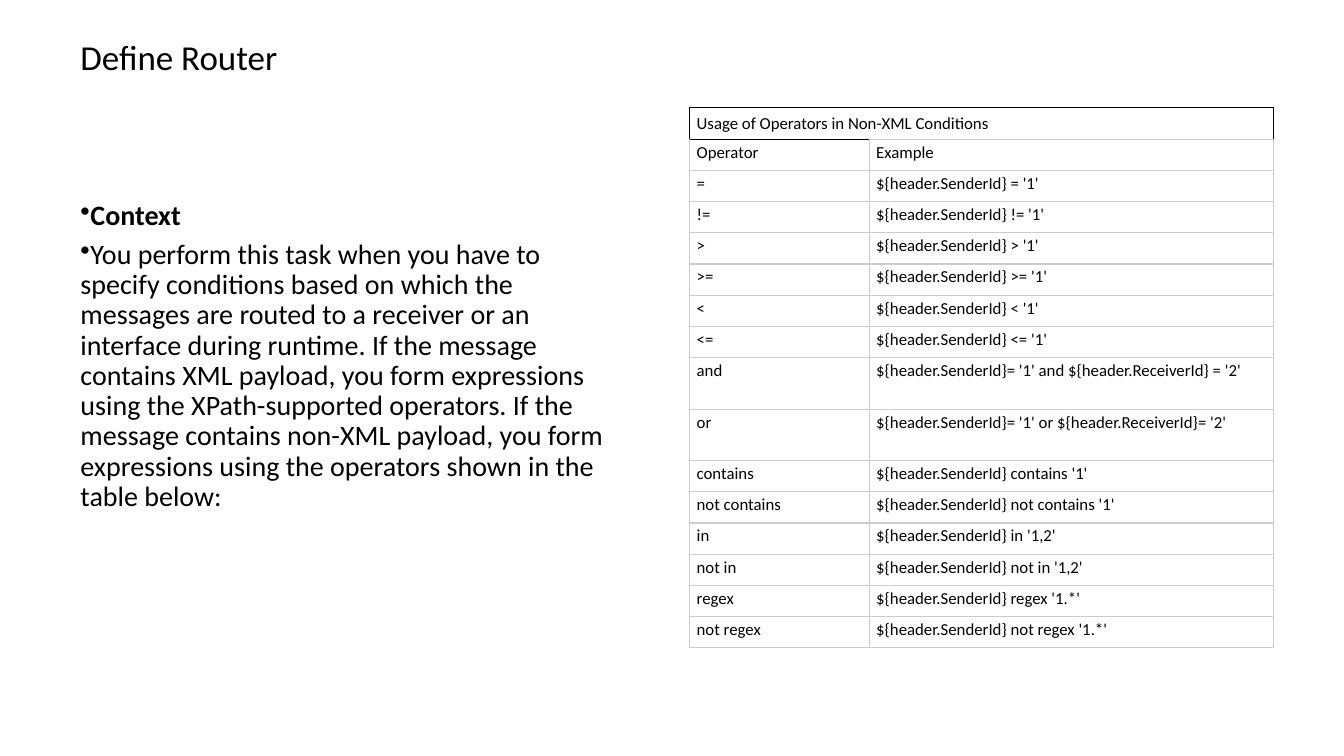
from lxml import etree
from pptx import Presentation
from pptx.dml.color import RGBColor
from pptx.enum.text import MSO_ANCHOR
from pptx.oxml.ns import qn
from pptx.util import Inches, Pt

TOP, MIDDLE = MSO_ANCHOR.TOP, MSO_ANCHOR.MIDDLE
FONT = "Calibri"
COLORS = {"ink": "000000", "grid": "CCCCCC"}

# Content
TITLE = "Define Router"
BODY = [
    ("Context", True),
    ("You perform this task when you have to specify conditions based on which "
     "the messages are routed to a receiver or an interface during runtime. "
     "If the message contains XML payload, you form expressions using the "
     "XPath-supported operators. If the message contains non-XML payload, you "
     "form expressions using the operators shown in the table below:", False),
]
HEAD = "Usage of Operators in Non-XML Conditions"
ROWS = [
    ("Operator", "Example"),
    ("=", "${header.SenderId} = '1'"),
    ("!=", "${header.SenderId} != '1'"),
    (">", "${header.SenderId} > '1'"),
    (">=", "${header.SenderId} >= '1'"),
    ("<", "${header.SenderId} < '1'"),
    ("<=", "${header.SenderId} <= '1'"),
    ("and", "${header.SenderId}= '1' and ${header.ReceiverId} = '2'"),
    ("or", "${header.SenderId}= '1' or ${header.ReceiverId}= '2'"),
    ("contains", "${header.SenderId} contains '1'"),
    ("not contains", "${header.SenderId} not contains '1'"),
    ("in", "${header.SenderId} in '1,2'"),
    ("not in", "${header.SenderId} not in '1,2'"),
    ("regex", "${header.SenderId} regex '1.*'"),
    ("not regex", "${header.SenderId} not regex '1.*'"),
]
COLS = (1.78, 4.01)
LOW, HIGH = 0.31, 0.51
TALL = ("and", "or")


def add_run(para, text, size, bold=False):
    run = para.add_run()
    run.text = text
    font = run.font
    font.name, font.size, font.bold = FONT, Pt(size), bold
    font.color.rgb = RGBColor.from_string(COLORS["ink"])


def add_box(slide, left, top, width, height):
    box = slide.shapes.add_textbox(*map(Inches, (left, top, width, height)))
    frame = box.text_frame
    frame.word_wrap = True
    frame.vertical_anchor = TOP
    return frame


def add_bullet(para):
    props = para._p.get_or_add_pPr()
    props.set("marL", "0")
    props.set("indent", str(-Inches(0.25)))
    etree.SubElement(props, qn("a:buChar")).set("char", "•")


def set_edges(cell, edges):
    props = cell._tc.get_or_add_tcPr()
    for side in "LRTB":
        line = etree.SubElement(props, qn("a:ln" + side), w=str(Pt(1)))
        fill = etree.SubElement(line, qn("a:solidFill"))
        etree.SubElement(fill, qn("a:srgbClr"), val=COLORS[edges.get(side, "grid")])


def style_cell(cell, anchor, edges):
    cell.margin_left = cell.margin_right = Inches(0.07)
    cell.margin_top = cell.margin_bottom = Inches(0.03)
    cell.vertical_anchor = anchor
    set_edges(cell, edges)
    cell.fill.background()


def add_grid(slide):
    heights = [LOW] + [HIGH if row[0] in TALL else LOW for row in ROWS]
    size = (sum(COLS), sum(heights))
    table = slide.shapes.add_table(
        len(heights), len(COLS), Inches(6.84), Inches(1.07),
        *map(Inches, size)).table
    table.first_row = table.horz_banding = False
    for col, width in zip(table.columns, COLS):
        col.width = Inches(width)
    for row, height in zip(table.rows, heights):
        row.height = Inches(height)

    # Heading across both columns, framed in black
    left, right = table.cell(0, 0), table.cell(0, 1)
    left.merge(right)
    style_cell(left, MIDDLE, dict.fromkeys("LRTB", "ink"))
    style_cell(right, MIDDLE, dict.fromkeys("RT", "ink"))
    add_run(left.text_frame.paragraphs[0], HEAD, 12)

    # Operators and examples
    for r, row in enumerate(ROWS, 1):
        for c, text in enumerate(row):
            cell = table.cell(r, c)
            edges = {"T": "ink"} if (r, c) == (1, 0) else {}
            style_cell(cell, TOP, edges)
            add_run(cell.text_frame.paragraphs[0], text, 12)


def main():
    deck = Presentation()
    deck.slide_width, deck.slide_height = Inches(13.33), Inches(7.5)
    slide = deck.slides.add_slide(deck.slide_layouts[6])

    # Title
    para = add_box(slide, 0.7, 0.35, 5.44, 1.24).paragraphs[0]
    para.line_spacing = 0.9
    add_run(para, TITLE, 25)

    # Body
    frame = add_box(slide, 0.7, 1.95, 5.44, 4.81)
    for i, (text, bold) in enumerate(BODY):
        para = frame.add_paragraph() if i else frame.paragraphs[0]
        add_bullet(para)
        para.line_spacing = 0.9
        para.space_after = Pt(6)
        add_run(para, text, 20, bold)

    # Table
    add_grid(slide)
    deck.save("out.pptx")


if __name__ == "__main__":
    main()
